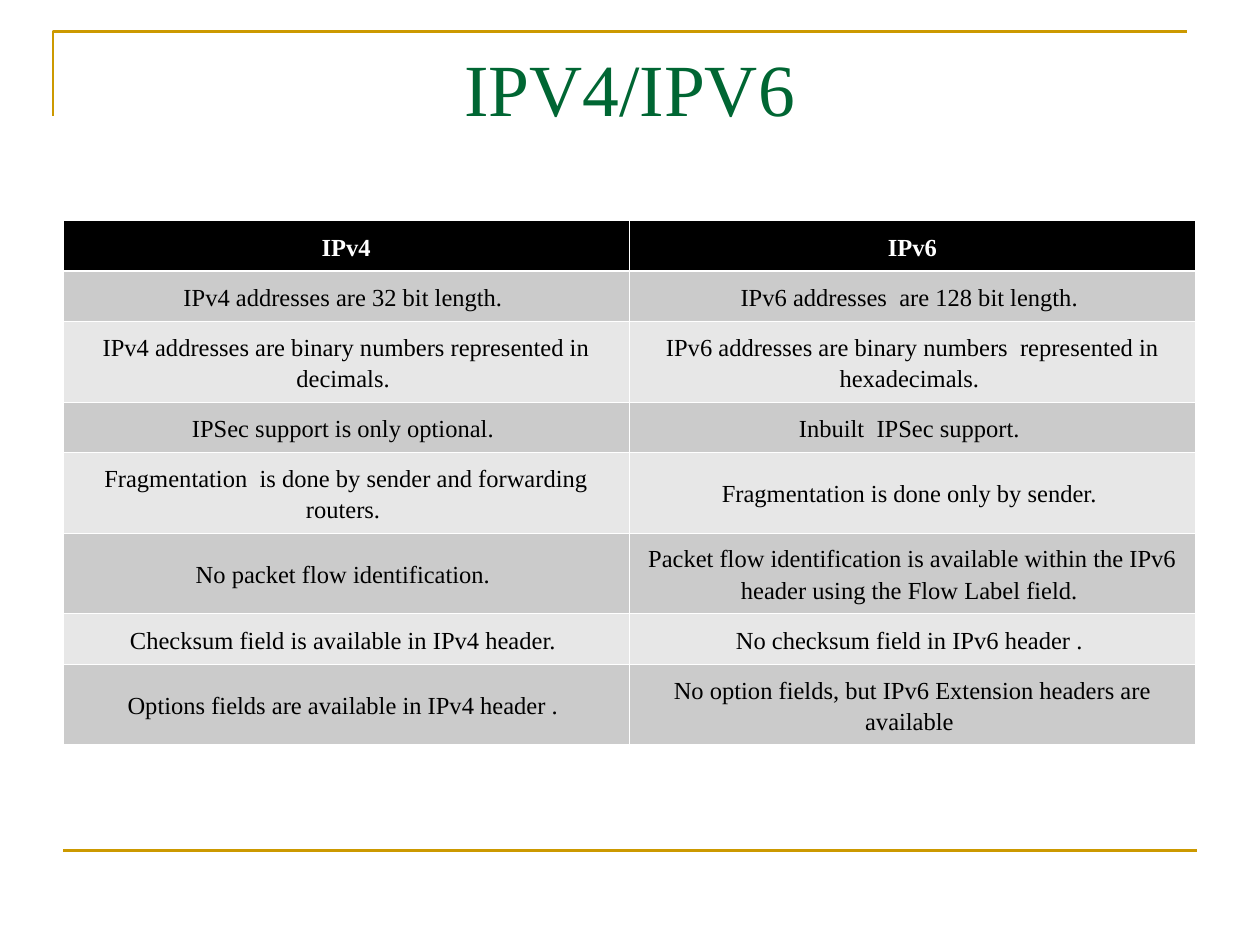
from dataclasses import dataclass

from lxml import etree
from pptx import Presentation
from pptx import util as u
from pptx.dml.color import RGBColor
from pptx.enum import shapes, text
from pptx.oxml import ns


@dataclass(frozen=True)
class Theme:
    font: str = "Times New Roman"
    title_size: int = 42
    table_size: int = 14
    title: str = "006633"
    rule: str = "CC9900"
    white: str = "FFFFFF"
    black: str = "000000"
    bands: tuple = ("CBCBCB", "E7E7E7")
    rule_width: float = 1.5
    grid_width: float = 0.45
    header_width: float = 1.47


THEME = Theme()
ROW_HEIGHT, TALL_ROW_HEIGHT = 0.4, 0.64
HEADERS = ("IPv4", "IPv6")
# Each row: IPv4 text, IPv6 text, height
COMPARISON = [
    ("IPv4 addresses are 32 bit length. ",
     "IPv6 addresses  are 128 bit length. ", ROW_HEIGHT),
    ("IPv4 addresses are binary numbers represented in decimals. ",
     "IPv6 addresses are binary numbers  represented in hexadecimals. ", TALL_ROW_HEIGHT),
    ("IPSec support is only optional. ",
     "Inbuilt  IPSec support. ", ROW_HEIGHT),
    ("Fragmentation  is done by sender and forwarding routers. ",
     "Fragmentation is done only by sender. ", TALL_ROW_HEIGHT),
    ("No packet flow identification. ",
     "Packet flow identification is available within the IPv6 header "
     "using the Flow Label field. ", TALL_ROW_HEIGHT),
    ("Checksum field is available in IPv4 header. ",
     "No checksum field in IPv6 header . ", ROW_HEIGHT),
    ("Options fields are available in IPv4 header . ",
     "No option fields, but IPv6 Extension headers are available ", TALL_ROW_HEIGHT),
]


def color(value):
    return RGBColor.from_string(value)


def write(frame, words, size, fill, bold=False, spacing=1.0):
    """Put one centred paragraph into a text frame."""
    frame.word_wrap = True
    para = frame.paragraphs[0]
    para.alignment = text.PP_ALIGN.CENTER
    para.line_spacing = spacing
    span = para.add_run()
    span.text = words
    span.font.name = THEME.font
    span.font.size = u.Pt(size)
    span.font.bold = bold
    span.font.color.rgb = color(fill)


def style_rule(line):
    line.color.rgb = color(THEME.rule)
    line.width = u.Pt(THEME.rule_width)


def add_corner(page, left, top, width, height):
    """Gold bracket along the left and top edges."""
    builder = page.shapes.build_freeform(left, top + height)
    builder.add_line_segments([(left, top), (left + width, top)], close=False)
    corner = builder.convert_to_shape()
    corner.shadow.inherit = False
    corner.fill.background()
    style_rule(corner.line)


def add_bottom_rule(page, left, top, width):
    rule = page.shapes.add_connector(
        shapes.MSO_CONNECTOR.STRAIGHT, left, top, left + width, top)
    style_rule(rule.line)
    etree.SubElement(rule._element.spPr, ns.qn("a:effectLst"))


def add_title(page, words, left, top, width, height):
    box = page.shapes.add_textbox(left, top, width, height)
    box.text_frame.vertical_anchor = text.MSO_ANCHOR.MIDDLE
    write(box.text_frame, words, THEME.title_size, THEME.title)


def set_border(cell, side, width):
    properties = cell._tc.get_or_add_tcPr()
    edge = etree.SubElement(properties, ns.qn(f"a:{side}"), w=str(u.Pt(width)))
    fill = etree.SubElement(edge, ns.qn("a:solidFill"))
    etree.SubElement(fill, ns.qn("a:srgbClr"), val=THEME.white)


def style_cell(cell, row_index):
    """Borders come before the fill, as the file format requires."""
    widths = {side: THEME.grid_width for side in ("lnL", "lnR", "lnT", "lnB")}
    if row_index == 0:
        widths["lnB"] = THEME.header_width
    elif row_index == 1:
        widths["lnT"] = THEME.header_width
    for side, width in widths.items():
        set_border(cell, side, width)
    cell.fill.solid()
    band = THEME.bands[(row_index - 1) % 2]
    cell.fill.fore_color.rgb = color(THEME.black if row_index == 0 else band)
    cell.vertical_anchor = text.MSO_ANCHOR.MIDDLE
    cell.margin_left = cell.margin_right = u.Inches(0.1)
    cell.margin_top = cell.margin_bottom = u.Inches(0.05)


def add_comparison(page, left, top, width):
    rows = [(*HEADERS, ROW_HEIGHT), *COMPARISON]
    height = u.Inches(sum(row[-1] for row in rows))
    table = page.shapes.add_table(
        len(rows), len(HEADERS), left, top, width, height).table
    for row_index, (*words, row_height) in enumerate(rows):
        table.rows[row_index].height = u.Inches(row_height)
        header = row_index == 0
        for column, content in enumerate(words):
            cell = table.cell(row_index, column)
            style_cell(cell, row_index)
            write(cell.text_frame, content, THEME.table_size,
                  THEME.white if header else THEME.black,
                  bold=header, spacing=1.15)


def main():
    deck = Presentation()
    deck.slide_width, deck.slide_height = u.Inches(10), u.Inches(7.5)
    page = deck.slides.add_slide(deck.slide_layouts[6])
    left, width = u.Inches(0.5), u.Inches(8.99)

    # Frame lines
    add_corner(page, u.Inches(0.42), u.Inches(0.25), u.Inches(9), u.Inches(0.67))
    add_bottom_rule(page, left, u.Inches(6.75), u.Inches(9))

    # Title and comparison table
    add_title(page, "IPV4/IPV6", left, u.Inches(0.3), width, u.Inches(0.78))
    add_comparison(page, left, u.Inches(1.75), width)

    deck.save("out.pptx")


if __name__ == "__main__":
    main()
